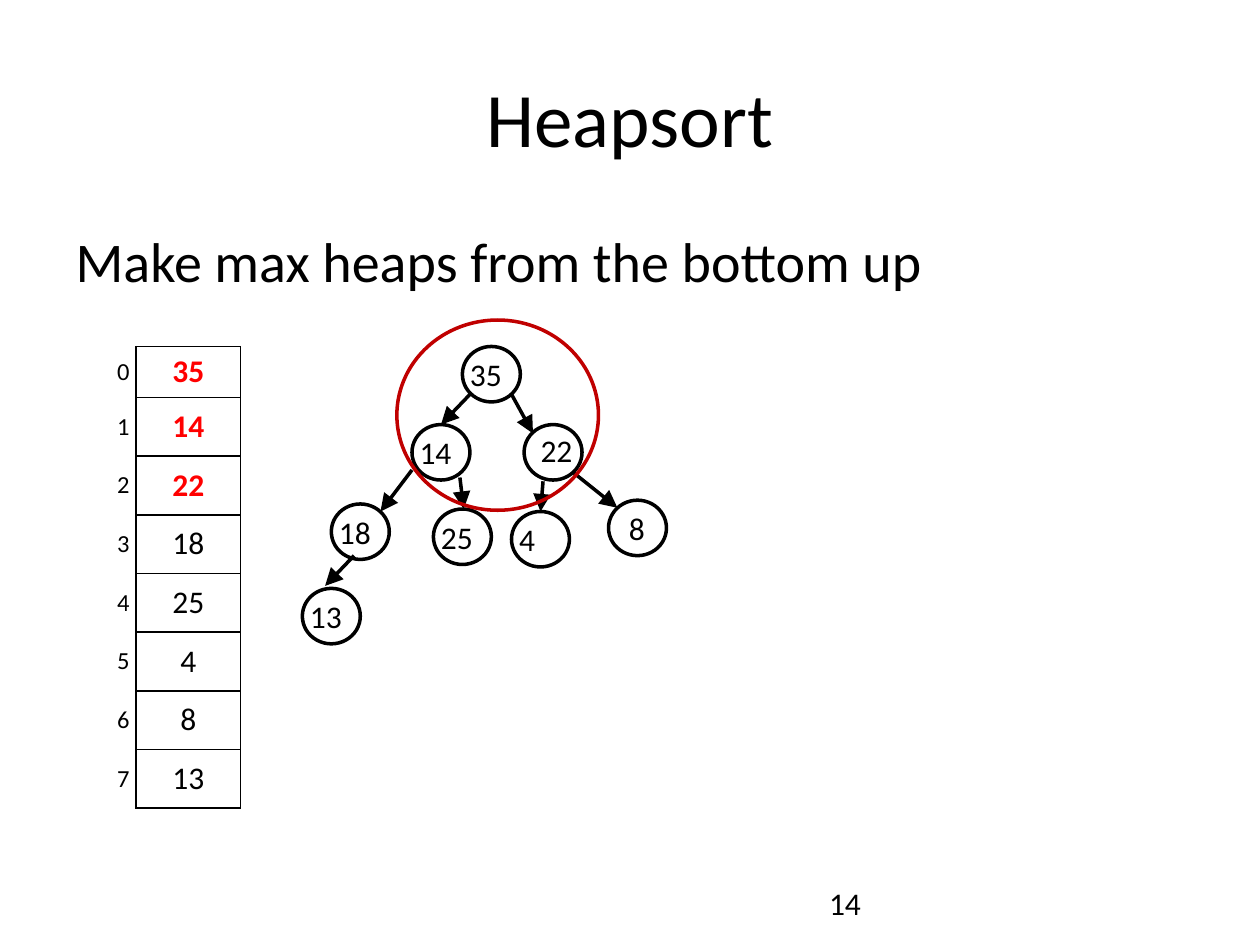
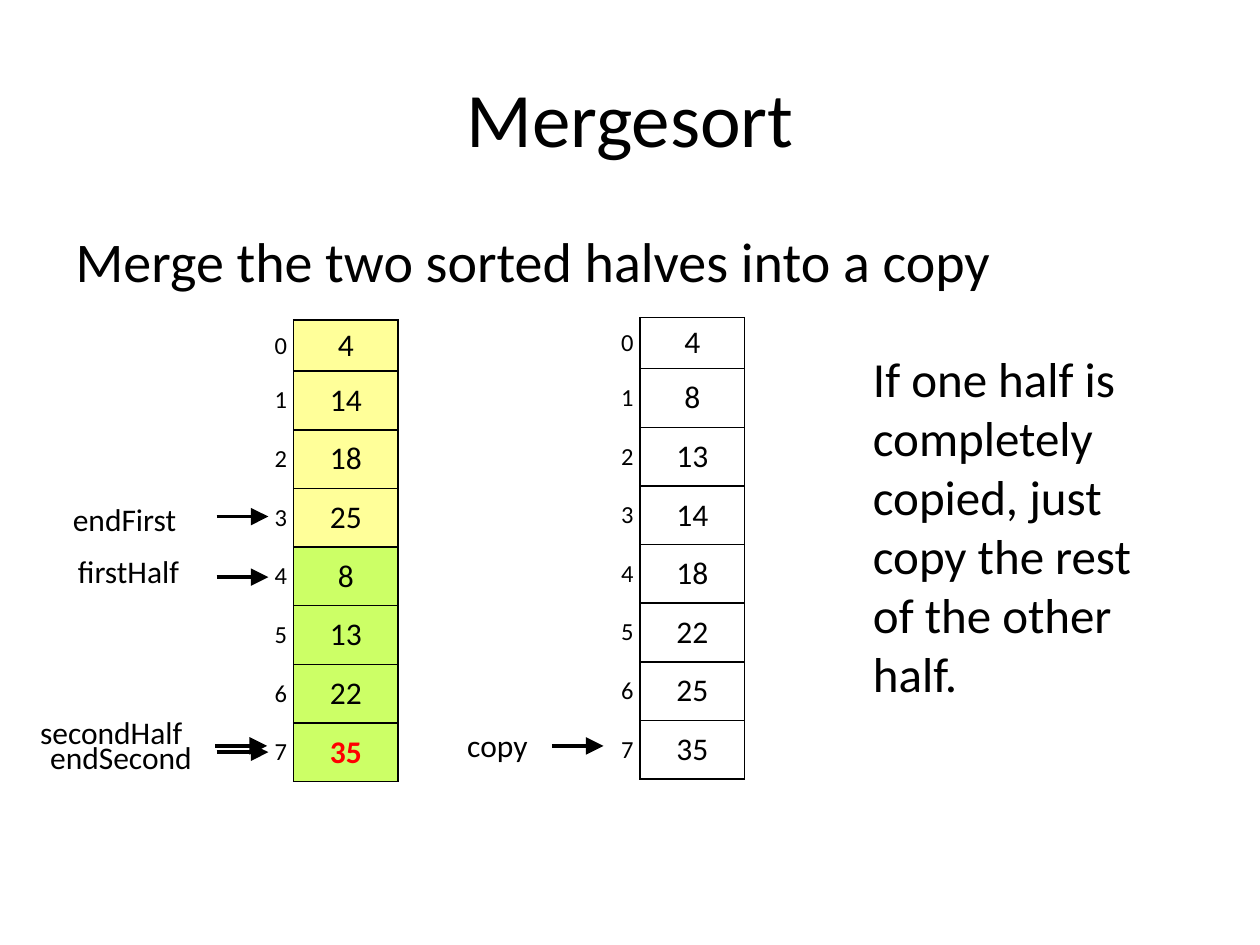
from dataclasses import dataclass

from lxml.etree import SubElement
from pptx import Presentation
from pptx.dml.color import RGBColor
from pptx.enum.shapes import MSO_CONNECTOR, MSO_SHAPE
from pptx.enum.text import MSO_ANCHOR, MSO_AUTO_SIZE, PP_ALIGN
from pptx.oxml.ns import qn
from pptx.util import Inches, Pt


@dataclass(frozen=True)
class Theme:
    font: str = "Calibri"
    ink: str = "000000"
    highlight: str = "FF0000"
    ring: str = "C00000"
    first_half: str = "FFFF99"
    second_half: str = "CCFF66"
    title_size: int = 44
    body_size: int = 32
    remark_size: int = 28
    label_size: int = 18
    index_size: int = 14
    stroke: float = 2
    border: float = 1


NO_GRID_STYLE = "{2D5ABB26-0587-4C30-8999-92F81FD0307C}"
FIRST_ROW = 0.4
ARRAY_HEIGHT = 3.66
INDEX_WIDTH = 0.25
VALUE_WIDTH = 0.83
NODE_WIDTH = 0.46
NODE_HEIGHT = 0.44
POINTER_LENGTH = 0.41


def write(frame, text, *, size, font=Theme.font, color=Theme.ink, bold=False,
          align=PP_ALIGN.LEFT):
    paragraph = frame.paragraphs[0]
    paragraph.alignment = align
    run = paragraph.add_run()
    run.text = text
    run.font.name = font
    run.font.size = Pt(size)
    run.font.bold = bold
    run.font.color.rgb = RGBColor.from_string(color)


class SortDeck:
    def __init__(self, theme):
        self.theme = theme
        self.presentation = Presentation()
        self.presentation.slide_width = Inches(10)
        self.presentation.slide_height = Inches(7.5)
        self.slide = None

    def start(self, title, step):
        layout = self.presentation.slide_layouts[1]
        self.slide = self.presentation.slides.add_slide(layout)
        heading, body = self.slide.placeholders
        for part, top, height in ((heading, 0.3, 1.25), (body, 1.75, 4.95)):
            part.left, part.top = Inches(0.5), Inches(top)
            part.width, part.height = Inches(9), Inches(height)
        heading.text_frame.vertical_anchor = MSO_ANCHOR.MIDDLE
        write(heading.text_frame, title, size=self.theme.title_size,
              align=PP_ALIGN.CENTER)
        properties = body.text_frame.paragraphs[0]._p.get_or_add_pPr()
        properties.set("marL", "0")
        properties.set("indent", "0")
        SubElement(properties, qn("a:buNone"))
        write(body.text_frame, step, size=self.theme.body_size)

    def label(self, text, left, top, width, height=0.4, *, inset=None,
              shapes=None, size=Theme.label_size, align=PP_ALIGN.LEFT):
        holder = (shapes or self.slide.shapes).add_textbox(
            Inches(left), Inches(top), Inches(width), Inches(height))
        frame = holder.text_frame
        frame.word_wrap = True
        frame.auto_size = MSO_AUTO_SIZE.SHAPE_TO_FIT_TEXT
        if inset is not None:
            frame.margin_left = frame.margin_right = Inches(inset)
            frame.margin_top = frame.margin_bottom = Inches(inset)
        write(frame, text, size=size, align=align)

    def number(self, text, left, top, **options):
        self.label(text, left, top, 0.33, 0.3, inset=0, **options)

    def ellipse(self, left, top, width, height, color, shapes=None):
        outline = (shapes or self.slide.shapes).add_shape(
            MSO_SHAPE.OVAL, Inches(left), Inches(top),
            Inches(width), Inches(height))
        outline.shadow.inherit = False
        outline.fill.background()
        outline.line.color.rgb = RGBColor.from_string(color)
        outline.line.width = Pt(self.theme.stroke)

    def node(self, value, left, top, shift=(0.06, 0.07), align=PP_ALIGN.LEFT):
        members = self.slide.shapes.add_group_shape().shapes
        self.ellipse(left, top, NODE_WIDTH, NODE_HEIGHT, self.theme.ink, members)
        self.number(value, left + shift[0], top + shift[1],
                    shapes=members, align=align)

    def arrow(self, start, end):
        connector = self.slide.shapes.add_connector(
            MSO_CONNECTOR.STRAIGHT, *map(Inches, (*start, *end)))
        connector.line.color.rgb = RGBColor.from_string(self.theme.ink)
        connector.line.width = Pt(self.theme.stroke)
        SubElement(connector.line._get_or_add_ln(), qn("a:tailEnd"),
                   type="triangle", w="lg", len="lg")
        SubElement(connector._element.spPr, qn("a:effectLst"))

    def pointer(self, left, top):
        self.arrow((left, top), (left + POINTER_LENGTH, top))

    def border(self, cell, sides):
        properties = cell._tc.get_or_add_tcPr()
        for side in sides:
            edge = SubElement(properties, qn(f"a:ln{side}"),
                              w=str(Pt(self.theme.border)))
            paint = SubElement(edge, qn("a:solidFill"))
            SubElement(paint, qn("a:srgbClr"), val=self.theme.ink)

    def cell(self, cell, text, sides, fill=None, **style):
        cell.vertical_anchor = MSO_ANCHOR.MIDDLE
        self.border(cell, sides)
        if fill:
            cell.fill.solid()
            cell.fill.fore_color.rgb = RGBColor.from_string(fill)
        else:
            cell.fill.background()
        write(cell.text_frame, text, align=PP_ALIGN.CENTER, **style)

    def array(self, values, left, top, highlighted=(), fills=None):
        count = len(values)
        frame = self.slide.shapes.add_table(
            count, 2, Inches(left), Inches(top),
            Inches(INDEX_WIDTH + VALUE_WIDTH), Inches(ARRAY_HEIGHT))
        table = frame.table
        table.first_row = table.horz_banding = False
        table._tbl.tblPr.find(qn("a:tableStyleId")).text = NO_GRID_STYLE
        table.columns[0].width = Inches(INDEX_WIDTH)
        table.columns[1].width = Inches(VALUE_WIDTH)
        row_height = (ARRAY_HEIGHT - FIRST_ROW) / (count - 1)
        fills = fills or [None] * count
        for index, (value, fill) in enumerate(zip(values, fills)):
            marked = index in highlighted
            table.rows[index].height = Inches(row_height if index else FIRST_ROW)
            self.cell(table.cell(index, 0), str(index), "R",
                      size=self.theme.index_size)
            self.cell(table.cell(index, 1), str(value), "LRTB", fill,
                      size=self.theme.label_size, bold=marked,
                      color=self.theme.highlight if marked else self.theme.ink)


def heapsort(deck):
    deck.start("Heapsort", "Make max heaps from the bottom up")
    deck.array([35, 14, 22, 18, 25, 4, 8, 13], 0.83, 2.75, highlighted=(0, 1, 2))
    deck.node("35", 3.67, 2.75)
    deck.number("14", 6.58, 7.02)
    deck.node("14", 3.27, 3.37)
    deck.node("22", 4.16, 3.37, shift=(0.13, 0.05))
    deck.node("18", 2.63, 4)
    deck.node("25", 3.44, 4.04)
    deck.node("4", 4.06, 4.06)
    deck.node("8", 4.83, 3.97, align=PP_ALIGN.CENTER)
    deck.node("13", 2.4, 4.67)
    branches = (
        ((3.73, 3.13), (3.5, 3.37)),
        ((3.27, 3.73), (3.02, 4.06)),
        ((2.81, 4.41), (2.58, 4.65)),
        ((4.31, 3.82), (4.29, 4.06)),
        ((4.06, 3.13), (4.23, 3.44)),
        ((3.65, 3.79), (3.68, 4.04)),
        ((4.55, 3.75), (4.9, 4.03)),
    )
    for parent, child in branches:
        deck.arrow(parent, child)
    deck.ellipse(3.15, 2.54, 1.6, 1.51, deck.theme.ring)


def mergesort(deck):
    theme = deck.theme
    deck.start("Mergesort", "Merge the two sorted halves into a copy")
    deck.array([4, 14, 18, 25, 8, 13, 22, 35], 2.08, 2.54, highlighted=(7,),
               fills=[theme.first_half] * 4 + [theme.second_half] * 4)
    deck.array([4, 8, 13, 14, 18, 22, 25, 35], 4.83, 2.52)
    markers = (
        ("firstHalf", 0.52, 4.33, 1.16, 1.72, 4.58),
        ("endSecond", 0.3, 5.81, 1.37, 1.72, 5.97),
        ("endFirst", 0.48, 3.92, 1.21, 1.72, 4.1),
        ("secondHalf", 0.22, 5.61, 1.47, 1.71, 5.92),
        ("copy", 3.61, 5.71, 0.75, 4.38, 5.92),
    )
    for name, left, top, width, pointer_left, pointer_top in markers:
        deck.label(name, left, top, width)
        deck.pointer(pointer_left, pointer_top)
    deck.label("If one half is completely copied, just copy the rest of the "
               "other half.", 6.83, 2.72, 2.58, 2.93, size=theme.remark_size)


def main():
    deck = SortDeck(Theme())
    heapsort(deck)
    mergesort(deck)
    deck.presentation.save("out.pptx")


if __name__ == "__main__":
    main()
